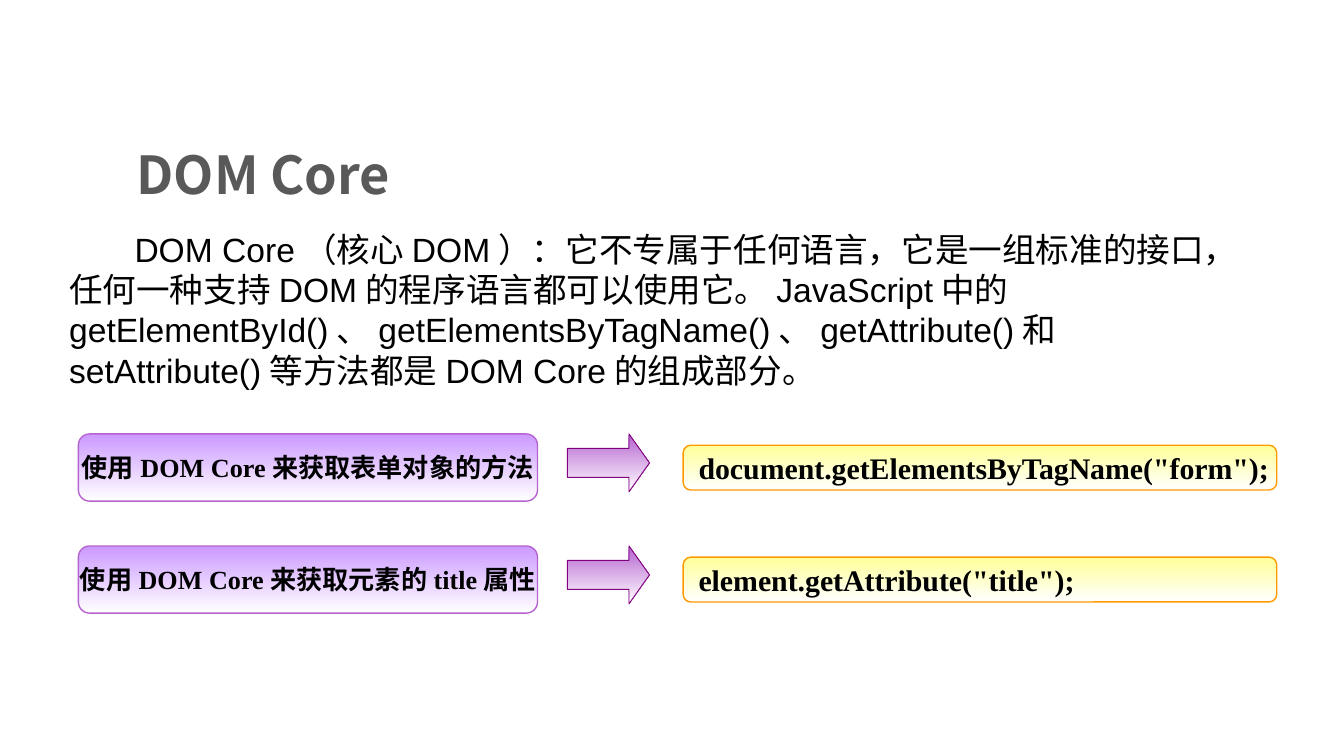
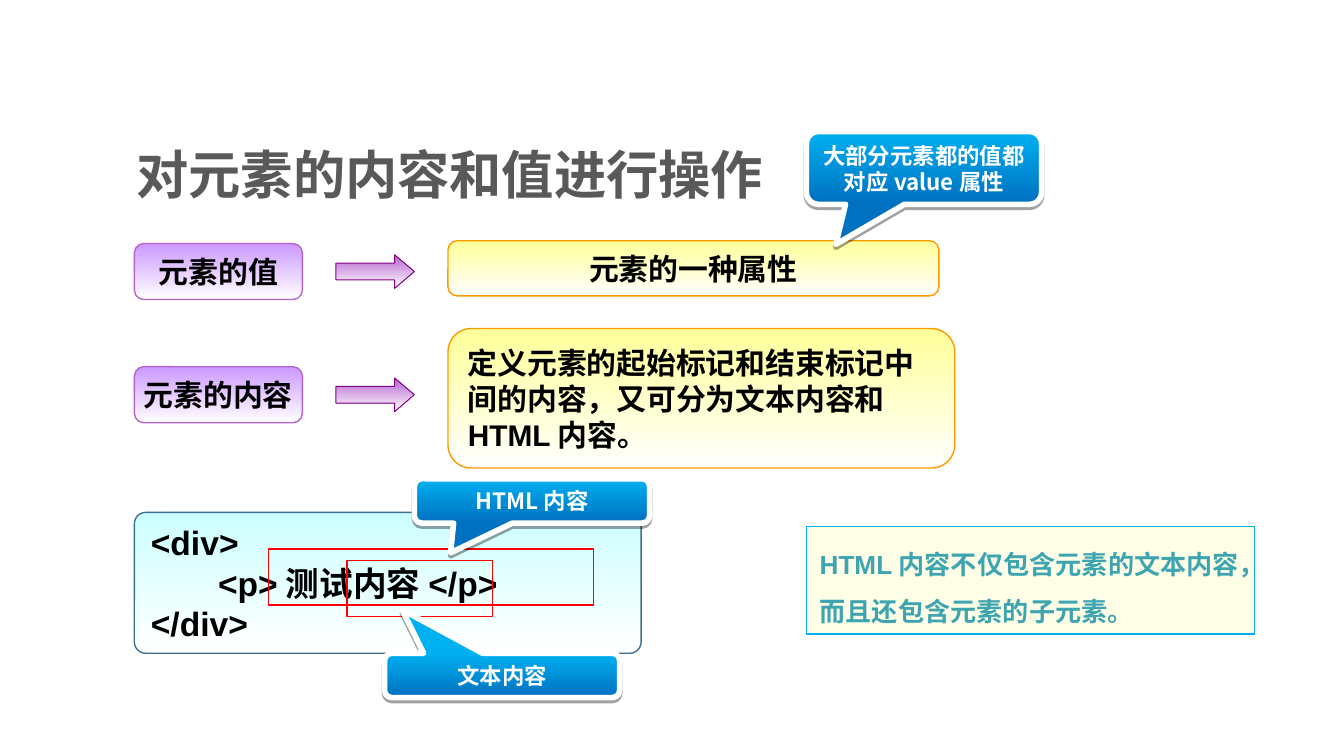
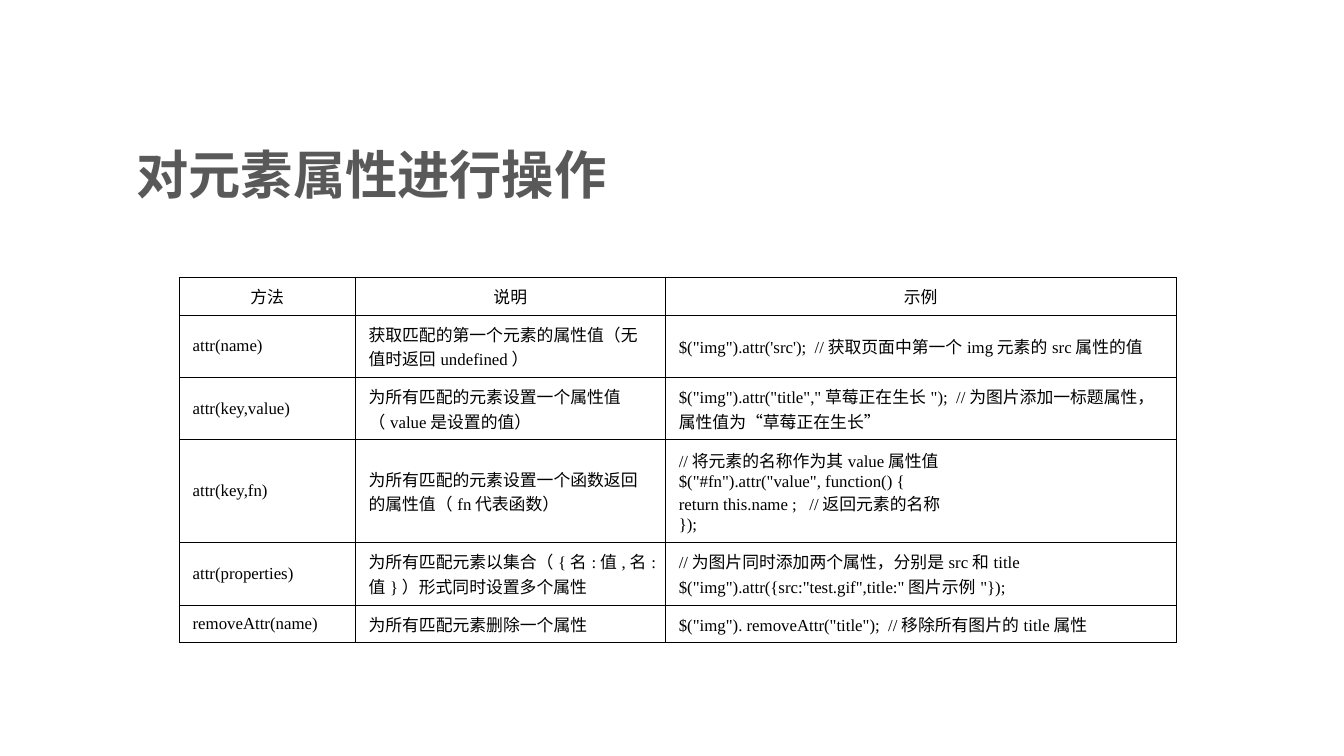
"""Builds three slides about the DOM core and element attributes."""
import dataclasses

import lxml.etree
import pptx
import pptx.dml.color
import pptx.enum.shapes
import pptx.enum.text
import pptx.oxml
import pptx.oxml.ns
import pptx.util

Pt = pptx.util.Pt
SHAPES = pptx.enum.shapes.MSO_SHAPE
ALIGN = pptx.enum.text.PP_ALIGN
ANCHOR = pptx.enum.text.MSO_ANCHOR
qn = pptx.oxml.ns.qn


@dataclasses.dataclass(frozen=True)
class Theme:
    sans: str = "Arial"
    serif: str = "Times New Roman"
    east_asian: str = "Noto Sans CJK SC"
    black: str = "000000"
    white: str = "FFFFFF"
    title: str = "595959"
    note: str = "3EA5B0"
    note_fill: str = "FFFFE7"
    sky: str = "00B0F0"
    red: str = "FF0000"
    purple: tuple = ("CC99FF", "FFFFFF")
    purple_line: str = "B563CF"
    yellow: tuple = ("FFFF99", "FFFFFF")
    yellow_line: str = "FF9900"
    cyan: tuple = ("CCFFFF", "FFFFFF")
    cyan_line: str = "3F7091"
    blue: tuple = ("00B0F0", "0070C0")
    arrow: tuple = ("B563CF", "FFFFFF")
    arrow_line: str = "800080"
    title_size: float = 28
    body_size: float = 18
    label_size: float = 16
    small_size: float = 14
    callout_size: float = 12
    table_size: float = 9


def rgb(value):
    return pptx.dml.color.RGBColor.from_string(value)


def assign(target, values):
    for name, value in values.items():
        setattr(target, name, value)


class Deck:
    def __init__(self, theme):
        self.theme = theme
        self.presentation = pptx.Presentation()
        assign(self.presentation, {"slide_width": Pt(720), "slide_height": Pt(405)})
        self.slide = None

    def new_slide(self, title):
        self.slide = self.presentation.slides.add_slide(self.presentation.slide_layouts[5])
        shape = self.slide.shapes.title
        assign(shape, {"left": Pt(66), "top": Pt(70.5), "width": Pt(516), "height": Pt(45)})
        self.set_text(shape.text_frame, title, self.theme.title_size,
                      self.theme.east_asian, self.theme.title, bold=True)

    def set_text(self, frame, text, size, font, color=Theme.black, bold=False,
                 align=ALIGN.LEFT, anchor=ANCHOR.MIDDLE, wrap=True, spacing=None):
        assign(frame, {"word_wrap": wrap, "vertical_anchor": anchor,
                       "auto_size": pptx.enum.text.MSO_AUTO_SIZE.NONE})
        self.set_paragraphs(frame, text, size, font, color, bold, align, spacing)

    def set_paragraphs(self, frame, text, size, font, color=Theme.black,
                       bold=False, align=ALIGN.LEFT, spacing=None):
        for index, line in enumerate(text.split("\n")):
            paragraph = frame.add_paragraph() if index else frame.paragraphs[0]
            assign(paragraph, {"alignment": align, "line_spacing": spacing})
            run = paragraph.add_run()
            run.text = line
            assign(run.font, {"size": Pt(size), "name": font, "bold": bold})
            run.font.color.rgb = rgb(color)
            lxml.etree.SubElement(run.font._element, qn("a:ea"),
                                  typeface=self.theme.east_asian)

    def shape(self, kind, box, fill, line, line_width=0.75, adjustments=()):
        shape = self.slide.shapes.add_shape(kind, *map(Pt, box))
        shape.shadow.inherit = False
        for index, value in enumerate(adjustments):
            shape.adjustments[index] = value
        if fill is None:
            shape.fill.background()
        elif isinstance(fill, tuple):
            shape.fill.gradient()
            shape.fill.gradient_angle = 270
            for stop, color in zip(shape.fill.gradient_stops, fill):
                stop.color.rgb = rgb(color)
        else:
            shape.fill.solid()
            shape.fill.fore_color.rgb = rgb(fill)
        shape.line.color.rgb = rgb(line)
        shape.line.width = Pt(line_width)
        return shape

    def rounded(self, box, fill, line, text, size, font, radius=0.167, **style):
        shape = self.shape(SHAPES.ROUNDED_RECTANGLE, box, fill, line, adjustments=[radius])
        self.set_text(shape.text_frame, text, size, font, bold=True, **style)

    def purple_label(self, box, text, size):
        self.rounded(box, self.theme.purple, self.theme.purple_line, text, size,
                     self.theme.serif, align=ALIGN.CENTER, wrap=False)

    def yellow_box(self, box, text, font, **style):
        self.rounded(box, self.theme.yellow, self.theme.yellow_line, text,
                     self.theme.label_size, font, **style)

    def arrow(self, box, head):
        self.shape(SHAPES.RIGHT_ARROW, box, self.theme.arrow, self.theme.arrow_line,
                   0.5, [0.5, head])

    def frame(self, box):
        self.shape(SHAPES.RECTANGLE, box, None, self.theme.red)

    def callout(self, box, text, tip):
        shape = self.shape(SHAPES.ROUNDED_RECTANGULAR_CALLOUT, box, self.theme.blue,
                           self.theme.white, 3, [*tip, 0.167])
        effects = shape._element.spPr.find(qn("a:effectLst"))
        shadow = lxml.etree.SubElement(effects, qn("a:outerShdw"), blurRad="0",
                                       dist=str(Pt(1.6)), dir="5400000", rotWithShape="0")
        color = lxml.etree.SubElement(shadow, qn("a:srgbClr"), val=self.theme.black)
        lxml.etree.SubElement(color, qn("a:alpha"), val="37000")
        self.set_text(shape.text_frame, text, self.theme.callout_size, self.theme.east_asian,
                      self.theme.white, bold=True, align=ALIGN.CENTER, anchor=ANCHOR.TOP)

    def body(self, box, text, first_indent):
        shape = self.slide.shapes.add_textbox(*map(Pt, box))
        self.set_text(shape.text_frame, text, self.theme.body_size, self.theme.sans)
        properties = shape.text_frame.paragraphs[0]._p.get_or_add_pPr()
        properties.set("indent", str(Pt(first_indent)))

    def note(self, box, text):
        shape = self.shape(SHAPES.RECTANGLE, box, self.theme.note_fill, self.theme.sky)
        self.set_text(shape.text_frame, text, self.theme.small_size, self.theme.sans,
                      self.theme.note, bold=True, anchor=ANCHOR.TOP, spacing=1.5)

    def border(self, cell):
        properties = cell._tc.get_or_add_tcPr()
        for index, side in enumerate(("lnL", "lnR", "lnT", "lnB")):
            line = pptx.oxml.parse_xml(
                f'<a:{side} xmlns:a="http://schemas.openxmlformats.org/drawingml/2006/main" '
                f'w="{Pt(0.45)}"><a:solidFill><a:srgbClr val="{self.theme.black}"/>'
                f'</a:solidFill></a:{side}>')
            properties.insert(index, line)

    def table(self, left, top, widths, heights, rows):
        table = self.slide.shapes.add_table(
            len(rows), len(widths), Pt(left), Pt(top), Pt(sum(widths)), Pt(sum(heights))).table
        assign(table, {"first_row": False, "horz_banding": False})
        for column, width in zip(table.columns, widths):
            column.width = Pt(width)
        for row_index, (row, height) in enumerate(zip(rows, heights)):
            table.rows[row_index].height = Pt(height)
            font = self.theme.serif if row_index else self.theme.sans
            align = ALIGN.LEFT if row_index else ALIGN.CENTER
            for cell, text in zip(table.rows[row_index].cells, row):
                cell.vertical_anchor = ANCHOR.MIDDLE
                cell.fill.background()
                self.border(cell)
                self.set_paragraphs(cell.text_frame, text, self.theme.table_size,
                                    font, align=align)


def add_core_slide(deck):
    deck.new_slide("DOM Core")
    deck.body((30, 119, 648, 93.5),
              "DOM Core（核心DOM）：它不专属于任何语言，它是一组标准的接口，任何一种支持DOM的程序语言"
              "都可以使用它。JavaScript中的getElementById()、getElementsByTagName()、"
              "getAttribute()和setAttribute()等方法都是DOM Core的组成部分。", 35)
    examples = [
        ("使用DOM Core来获取表单对象的方法", 'document.getElementsByTagName("form");'),
        ("使用DOM Core来获取元素的title属性", 'element.getAttribute("title");'),
    ]
    for index, (purpose, code) in enumerate(examples):
        top = 232.5 + 60 * index
        deck.purple_label((42, top, 246, 36), purpose, deck.theme.small_size)
        deck.yellow_box((366, top + 6, 318, 24), code, deck.theme.serif,
                        align=ALIGN.JUSTIFY, wrap=False)
        deck.arrow((304, top, 44, 31), 0.354)


def add_content_slide(deck):
    deck.new_slide("对元素的内容和值进行操作")
    terms = [
        ("元素的值", "元素的一种属性", (240, 129, 263, 29.5), ALIGN.CENTER),
        ("元素的内容", "定义元素的起始标记和结束标记中间的内容，又可分为文本内容和HTML内容。",
         (240, 176, 271.5, 74.75), ALIGN.LEFT),
    ]
    for index, (term, meaning, box, align) in enumerate(terms):
        top = 130.5 + 66 * index
        deck.purple_label((72, top, 90, 30), term, deck.theme.label_size)
        deck.yellow_box(box, meaning, deck.theme.sans, align=align)
        deck.arrow((180, top + 6, 42, 18), 0.587)
    deck.rounded((72, 274.5, 271.5, 75.5), deck.theme.cyan, deck.theme.cyan_line,
                 "<div>\n\t<p>测试内容</p>\n</div>", deck.theme.body_size, deck.theme.sans,
                 radius=0.081, anchor=ANCHOR.TOP)
    deck.callout((432, 70.5, 126, 39), "大部分元素都的值都对应value属性", (-0.375, 1.05))
    deck.frame((144, 294.25, 174, 30))
    deck.callout((222, 256.5, 126, 23.75), "HTML内容", (-0.346, 1.17))
    deck.frame((186, 300.25, 78, 30))
    deck.callout((206, 350, 126, 23.75), "文本内容", (-0.425, -1.481))
    deck.note((432, 282, 240, 57.75),
              "HTML内容不仅包含元素的文本内容，而且还包含元素的子元素。")


def add_attribute_slide(deck):
    deck.new_slide("对元素属性进行操作")
    rows = [
        ("方法", "说明", "示例"),
        ("attr(name)", "获取匹配的第一个元素的属性值（无值时返回undefined）",
         "$(\"img\").attr('src');  //获取页面中第一个img元素的src属性的值"),
        ("attr(key,value)", "为所有匹配的元素设置一个属性值（value是设置的值）",
         '$("img").attr("title","草莓正在生长");  //为图片添加一标题属性，属性值为“草莓正在生长”'),
        ("attr(key,fn)", "为所有匹配的元素设置一个函数返回的属性值（fn代表函数）",
         '//将元素的名称作为其value属性值\n$("#fn").attr("value", function() {\n'
         'return this.name ;   //返回元素的名称\n});'),
        ("attr(properties)", "为所有匹配元素以集合（{名:值,名:值}）形式同时设置多个属性",
         '//为图片同时添加两个属性，分别是src和title\n'
         '$("img").attr({src:"test.gif",title:"图片示例"});'),
        ("removeAttr(name)", "为所有匹配元素删除一个属性",
         '$("img"). removeAttr("title");  //移除所有图片的title属性'),
    ]
    deck.table(96, 148.5, (94.25, 166.25, 273.5), (19.75, 31.6, 31.6, 55.2, 31.6, 19.75), rows)


def main():
    deck = Deck(Theme())
    add_core_slide(deck)
    add_content_slide(deck)
    add_attribute_slide(deck)
    deck.presentation.save("out.pptx")


if __name__ == "__main__":
    main()
